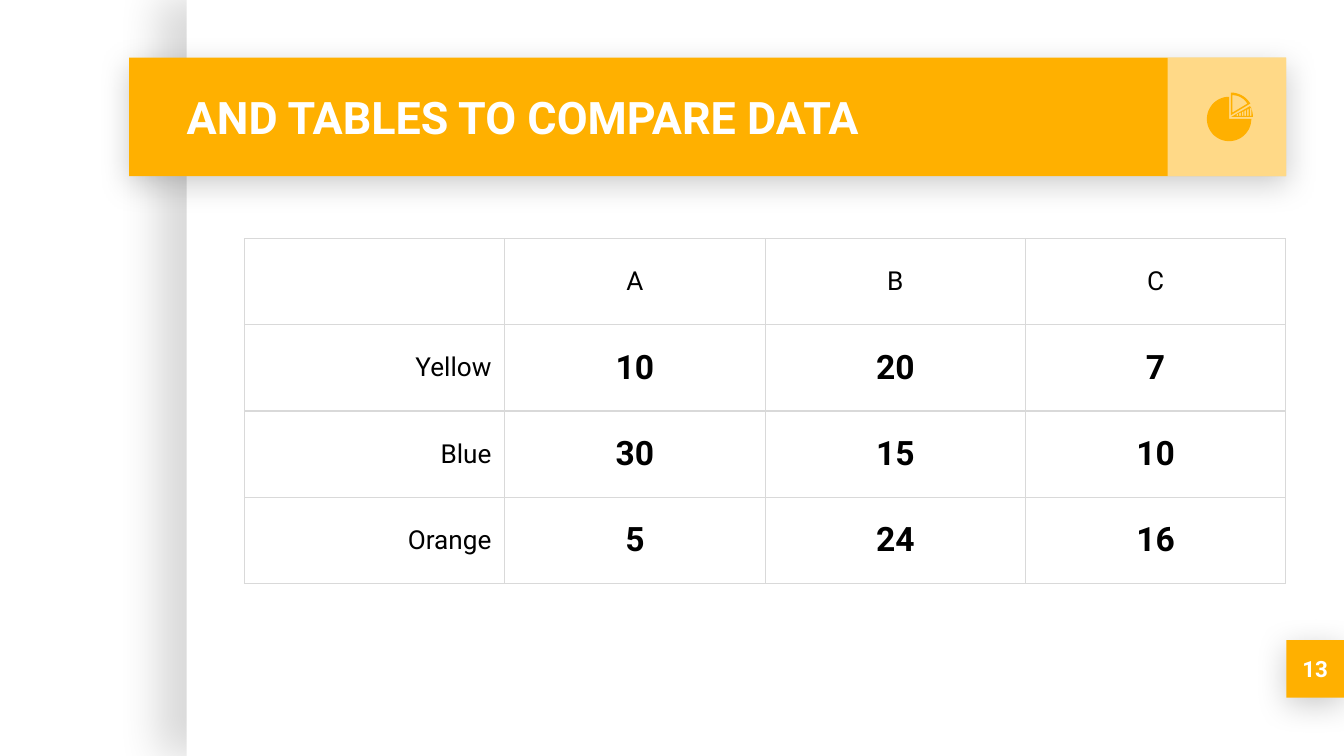
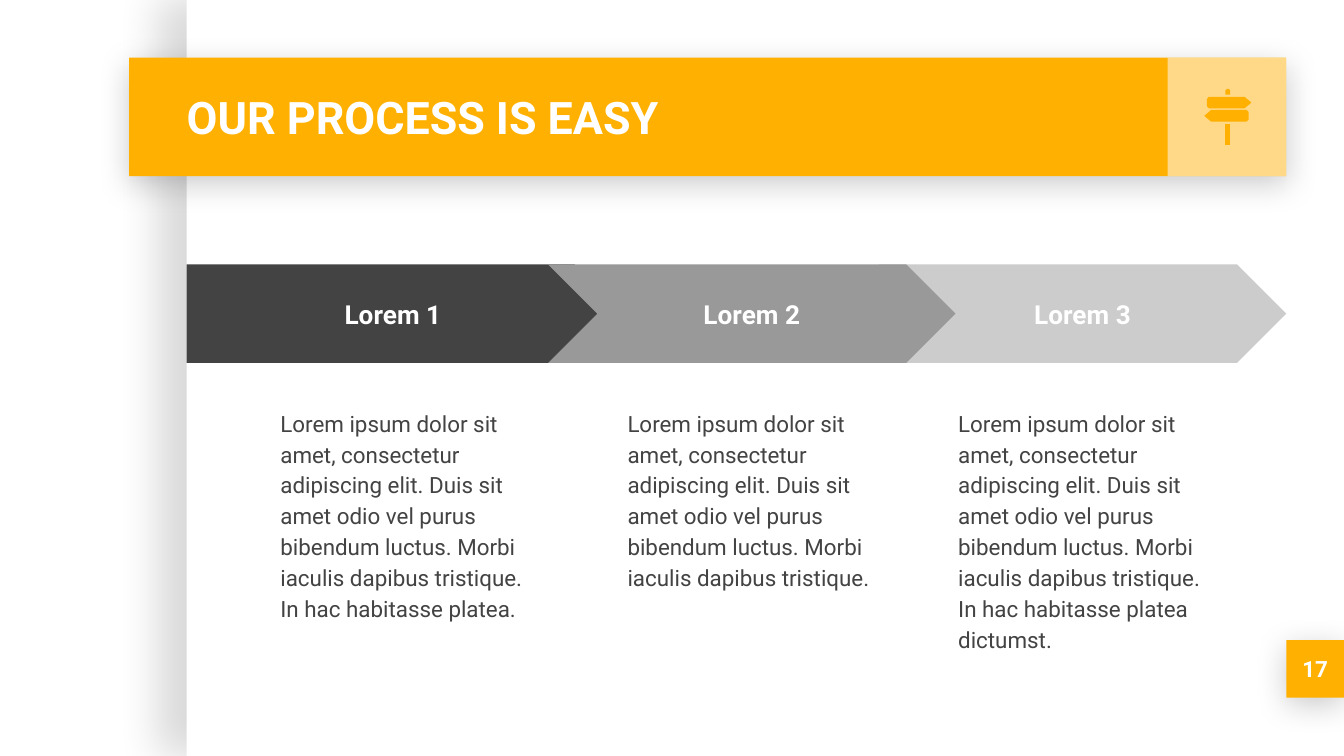
import math
from dataclasses import dataclass

import pptx
import pptx.dml.color
import pptx.enum.shapes
import pptx.enum.text
import pptx.oxml
import pptx.oxml.ns
import pptx.util

Cm = pptx.util.Cm
Pt = pptx.util.Pt
RGB = pptx.dml.color.RGBColor.from_string
SHAPE = pptx.enum.shapes.MSO_SHAPE
ALIGN = pptx.enum.text.PP_ALIGN
ANCHOR = pptx.enum.text.MSO_ANCHOR


@dataclass(frozen=True)
class Theme:
    font: str = "Roboto"
    accent: str = "FFB000"
    white: str = "FFFFFF"
    black: str = "000000"
    body: str = "434343"
    rule: str = "D9D9D9"
    steps: tuple = ("434343", "999999", "CCCCCC")
    title_size: int = 24
    value_size: int = 18
    label_size: int = 14
    body_size: int = 12
    rule_width: float = 0.75


THEME = Theme()

SLIDE_WIDTH, SLIDE_HEIGHT = 25.4, 14.29
PANEL_LEFT = 3.53
RIGHT_EDGE = 24.31
BAND_LEFT, BAND_TOP, BAND_HEIGHT = 2.44, 1.09, 2.24
ICON_LEFT = RIGHT_EDGE - BAND_HEIGHT

# opacity %, blur pt, distance pt, direction in degrees
PANEL_SHADOW = (15, 22.5, 15, 180)
BAND_SHADOW = (20, 16.9, 3.8, 90)

STEP_INTRO = ("Lorem ipsum dolor sit amet, consectetur adipiscing elit. Duis sit "
              "amet odio vel purus bibendum luctus. Morbi iaculis dapibus tristique.")


def apply_format(target, values):
    for name, value in values.items():
        setattr(target, name, value)


def xml(markup):
    """Parse one element in the drawing namespace; markup omits the declaration."""
    tag, rest = markup[1:].split(" ", 1)
    return pptx.oxml.parse_xml(f"<{tag} {pptx.oxml.ns.nsdecls('a')} {rest}")


def write(frame, text, size, color, bold=False, align=ALIGN.LEFT, spacing=None):
    paragraph = frame.paragraphs[0]
    apply_format(paragraph, {"alignment": align, "line_spacing": spacing})
    run = paragraph.add_run()
    run.text = text
    apply_format(run.font, {"name": THEME.font, "size": Pt(size), "bold": bold})
    run.font.color.rgb = RGB(color)


def set_frame(frame, anchor):
    apply_format(frame, {
        "word_wrap": True, "vertical_anchor": anchor,
        "margin_left": Cm(0.25), "margin_right": Cm(0.25),
        "margin_top": Cm(0.25), "margin_bottom": Cm(0.25),
    })


def add_text(slide, box, text, size, color, anchor=ANCHOR.TOP, **style):
    frame = slide.shapes.add_textbox(*map(Cm, box)).text_frame
    set_frame(frame, anchor)
    write(frame, text, size, color, **style)


def paint(shape, color):
    shape.shadow.inherit = False
    shape.fill.solid()
    shape.fill.fore_color.rgb = RGB(color)
    shape.line.fill.background()


def add_block(slide, kind, box, color, label="", size=0):
    block = slide.shapes.add_shape(kind, *map(Cm, box))
    paint(block, color)
    if label:
        set_frame(block.text_frame, ANCHOR.MIDDLE)
        write(block.text_frame, label, size, THEME.white, True, ALIGN.CENTER)
    return block


def cast_shadow(shape, opacity, blur, distance, direction):
    effects = shape.element.spPr.find(pptx.oxml.ns.qn("a:effectLst"))
    effects.append(xml(
        f'<a:outerShdw blurRad="{Pt(blur)}" dist="{Pt(distance)}" '
        f'dir="{direction * 60000}" algn="bl" rotWithShape="0">'
        f'<a:srgbClr val="{THEME.black}"><a:alpha val="{opacity * 1000}"/>'
        f'</a:srgbClr></a:outerShdw>'))


def set_opacity(shape, percent):
    color = next(shape.element.spPr.iter(pptx.oxml.ns.qn("a:srgbClr")))
    color.append(xml(f'<a:alpha val="{percent * 1000}"/>'))


def add_outline(group, *contours):
    """Draw closed contours as one icon part; inner contours become holes."""
    contours = [[(Cm(x), Cm(y)) for x, y in contour] for contour in contours]
    builder = group.shapes.build_freeform(*contours[0][0], scale=1.0)
    for index, contour in enumerate(contours):
        if index:
            builder.move_to(*contour[0])
        builder.add_line_segments(contour[1:], close=True)
    paint(builder.convert_to_shape(), THEME.accent)


def sector(x, y, radius, start, end):
    """Corner points of a pie sector; angles run counterclockwise from the right."""
    steps = max(8, (end - start) // 6)
    angles = [math.radians(start + (end - start) * i / steps) for i in range(steps + 1)]
    return [(x, y)] + [(x + radius * math.cos(a), y - radius * math.sin(a))
                       for a in angles]


def draw_pie_icon(group):
    add_outline(group, sector(23.23, 2.25, 0.42, 90, 360))
    base = 2.19
    stripes = []
    for index in range(6):
        left = 23.37 + 0.05 * index
        right = left + 0.03
        stripes.append([(left, base), (left, base - 0.45 * (left - 23.31)),
                        (right, base - 0.45 * (right - 23.31)), (right, base)])
    add_outline(group, sector(23.27, 2.21, 0.41, 0, 30), *stripes)
    add_outline(group, sector(23.26, 2.18, 0.43, 31, 90),
                sector(23.29, 2.13, 0.33, 31, 90))


def draw_signpost_icon(group):
    left, shoulder, tip = 22.81, 23.52, 23.65
    top, middle, bottom, bevel = 1.83, 1.94, 2.05, 0.04
    right_board = [(left + bevel, top), (shoulder, top), (tip, middle),
                   (shoulder, bottom), (left + bevel, bottom),
                   (left, bottom - bevel), (left, top + bevel)]
    left_board = [(46.41 - x, y + 0.25) for x, y in right_board]
    post_left, post_right = 23.16, 23.25
    cap = [(post_left, 1.79), (post_left, 1.71), (post_left + 0.03, 1.68),
           (post_right - 0.03, 1.68), (post_right, 1.71), (post_right, 1.79)]
    post = [(post_left, 2.34), (post_left, 2.74), (post_right, 2.74), (post_right, 2.34)]
    for part in (right_board, left_board, cap, post):
        add_outline(group, part)


def add_framed_slide(deck, title, number, draw_icon):
    """Add a slide with the white panel, title band, icon and page number."""
    slide = deck.slides.add_slide(deck.slide_layouts[6])
    panel = add_block(slide, SHAPE.RECTANGLE,
                      (PANEL_LEFT, 0, SLIDE_WIDTH - PANEL_LEFT, SLIDE_HEIGHT), THEME.white)
    cast_shadow(panel, *PANEL_SHADOW)
    page_tag = add_block(slide, SHAPE.RECTANGLE, (RIGHT_EDGE, 12.1, 1.09, 1.09),
                         THEME.accent, str(number), THEME.body_size)
    cast_shadow(page_tag, *BAND_SHADOW)
    band = add_block(slide, SHAPE.RECTANGLE,
                     (BAND_LEFT, BAND_TOP, RIGHT_EDGE - BAND_LEFT, BAND_HEIGHT),
                     THEME.accent)
    cast_shadow(band, *BAND_SHADOW)
    icon_tile = add_block(slide, SHAPE.RECTANGLE,
                          (ICON_LEFT, BAND_TOP, BAND_HEIGHT, BAND_HEIGHT), THEME.white)
    set_opacity(icon_tile, 53)
    add_text(slide, (3.28, BAND_TOP, 18.72, BAND_HEIGHT), title,
             THEME.title_size, THEME.white, ANCHOR.MIDDLE, bold=True)
    draw_icon(slide.shapes.add_group_shape())
    return slide


def set_borders(cell):
    for side in ("lnL", "lnR", "lnT", "lnB"):
        cell._tc.get_or_add_tcPr().append(xml(
            f'<a:{side} w="{Pt(THEME.rule_width)}"><a:solidFill>'
            f'<a:srgbClr val="{THEME.rule}"/></a:solidFill></a:{side}>'))


def add_comparison(slide, rows):
    column_width, row_height = 4.92, 1.63
    column_count = len(rows[0])
    table = slide.shapes.add_table(
        len(rows), column_count, Cm(4.62), Cm(4.51),
        Cm(column_width * column_count), Cm(row_height * len(rows))).table
    apply_format(table, {"first_row": False, "horz_banding": False})
    for row_index, row in enumerate(rows):
        for column_index, text in enumerate(row):
            cell = table.cell(row_index, column_index)
            apply_format(cell, {
                "vertical_anchor": ANCHOR.MIDDLE,
                "margin_left": Cm(0.25), "margin_right": Cm(0.25),
                "margin_top": Cm(0.18), "margin_bottom": Cm(0.18),
            })
            set_borders(cell)
            cell.fill.background()
            if not text:
                continue
            is_value = row_index > 0 and column_index > 0
            write(cell.text_frame, text,
                  THEME.value_size if is_value else THEME.label_size, THEME.black,
                  is_value, ALIGN.CENTER if column_index else ALIGN.RIGHT)


def add_process(slide, endings):
    """Draw the chain of arrows, each with its description below."""
    pitch, chevron_left, chevron_width = 6.25, 10.36, 7.7
    lefts = [PANEL_LEFT, chevron_left, chevron_left + pitch]
    for index in (2, 0, 1):  # the middle arrow overlaps both neighbours
        first = index == 0
        kind = SHAPE.PENTAGON if first else SHAPE.CHEVRON
        width = 8.26 if first else chevron_width
        add_block(slide, kind, (lefts[index], 5, width, 1.86), THEME.steps[index],
                  f"Lorem {index + 1}", THEME.label_size)
        text_left = lefts[index] + (1.52 if first else 1.25)
        add_text(slide, (text_left, 7.42, 5.21, 5.33), STEP_INTRO + endings[index],
                 THEME.body_size, THEME.body, spacing=1.15)


def main():
    deck = pptx.Presentation()
    apply_format(deck, {"slide_width": Cm(SLIDE_WIDTH), "slide_height": Cm(SLIDE_HEIGHT)})

    comparison = add_framed_slide(deck, "AND TABLES TO COMPARE DATA", 13, draw_pie_icon)
    add_comparison(comparison, [
        ("", "A", "B", "C"),
        ("Yellow", "10", "20", "7"),
        ("Blue", "30", "15", "10"),
        ("Orange", "5", "24", "16"),
    ])

    process = add_framed_slide(deck, "OUR PROCESS IS EASY", 17, draw_signpost_icon)
    add_process(process, [" In hac habitasse platea.", "",
                          " In hac habitasse platea dictumst."])

    deck.save("out.pptx")


if __name__ == "__main__":
    main()
